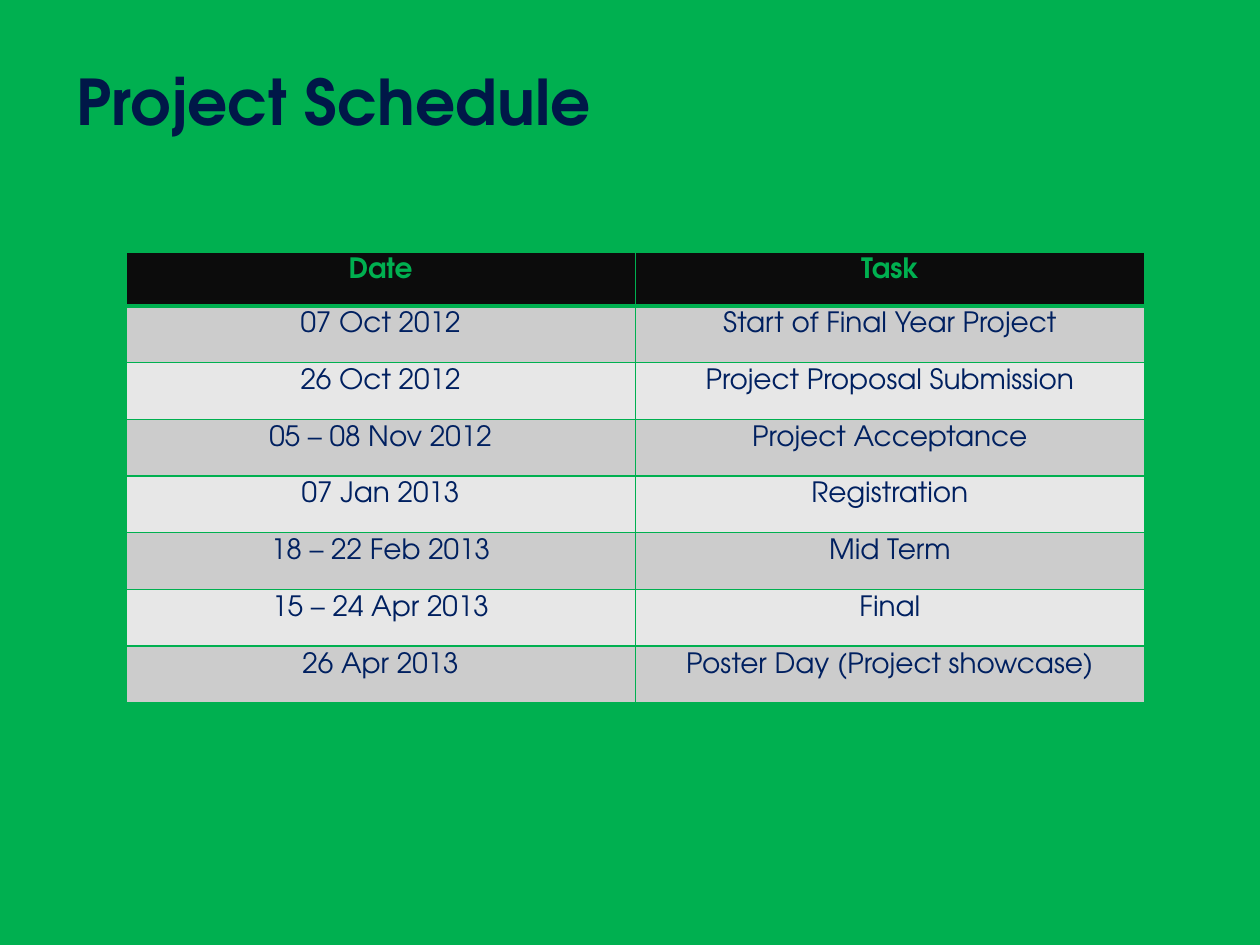
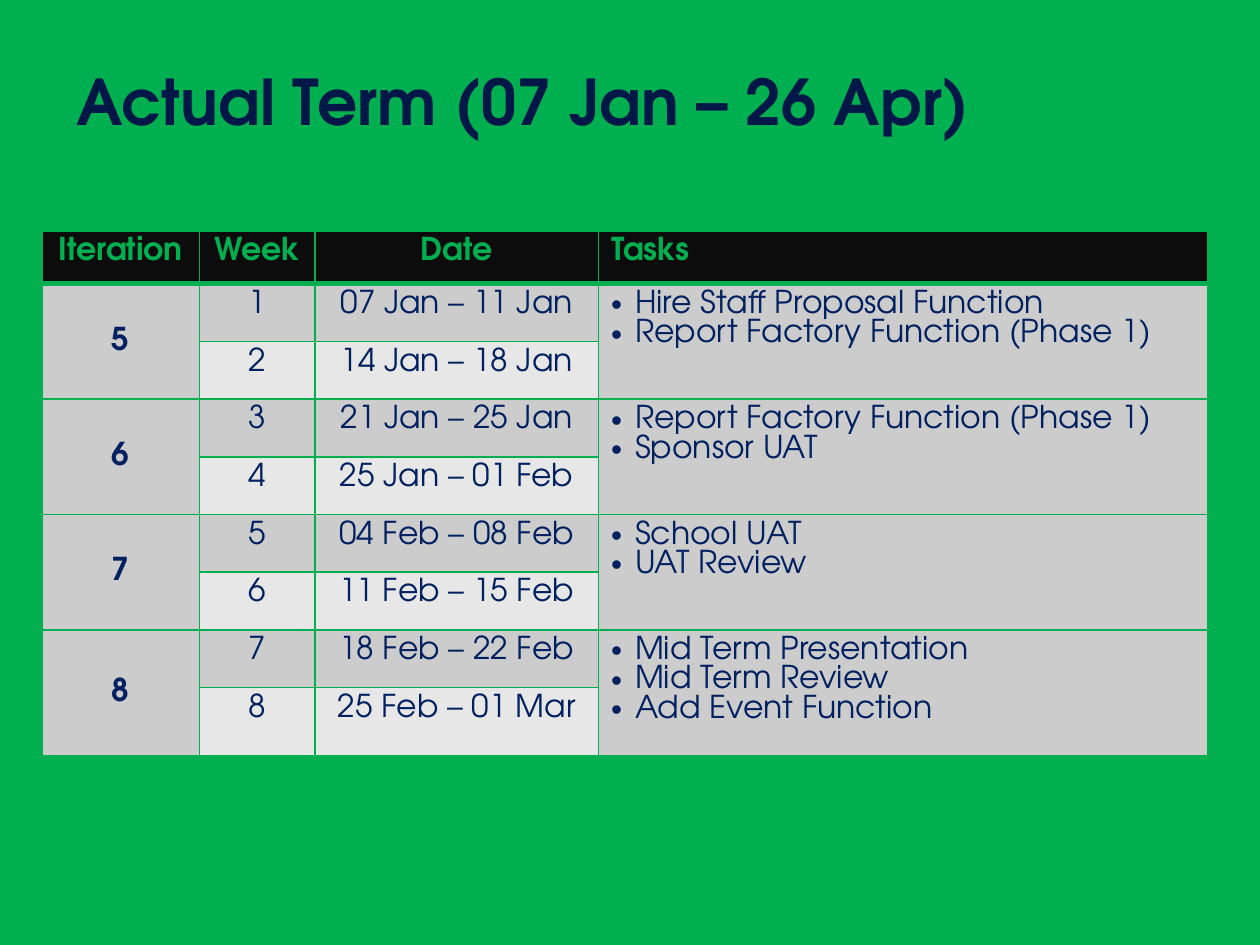
from dataclasses import dataclass

from lxml.etree import SubElement
from pptx import Presentation
from pptx.dml.color import RGBColor
from pptx.enum.text import MSO_ANCHOR as Anchor, PP_ALIGN as Align
from pptx.oxml.ns import qn
from pptx.util import Inches, Pt


@dataclass(frozen=True)
class Theme:
    font: str = "TeX Gyre Adventor"
    green: str = "00B050"
    title: str = "001848"
    header: str = "0C0C0C"
    body: str = "002060"
    bands: tuple = ("CCCCCC", "E7E7E7")
    title_size: int = 36
    border: int = 1
    header_border: int = 3


theme = Theme()

presentation = Presentation()
presentation.slide_width = Inches(10)
presentation.slide_height = Inches(7.5)
# The slide is a grid of 100 columns by 75 rows.
column = presentation.slide_width / 100
row = presentation.slide_height / 75


def style_font(paragraph, size, color, bold):
    for run in paragraph.runs:
        run.font.name = theme.font
        run.font.size = Pt(size)
        run.font.bold = bold
        run.font.color.rgb = RGBColor.from_string(color)


def draw_border(cell, side, width):
    line = SubElement(cell._tc.get_or_add_tcPr(), qn(f"a:ln{side}"), w=str(Pt(width)))
    fill = SubElement(line, qn("a:solidFill"))
    SubElement(fill, qn("a:srgbClr"), val=theme.green)


milestones = [
    ("Date", "Task"),
    ("07 Oct 2012", "Start of Final Year Project"),
    ("26 Oct 2012", "Project Proposal Submission"),
    ("05 – 08 Nov 2012", "Project Acceptance"),
    ("07 Jan 2013", "Registration"),
    ("18 – 22 Feb 2013", "Mid Term"),
    ("15 – 24 Apr 2013", "Final"),
    ("26 Apr 2013", "Poster Day (Project showcase)"),
]

iterations = [
    ("07 Jan – 11 Jan", "14 Jan – 18 Jan",
     "Hire Staff Proposal Function\nReport Factory Function (Phase 1)"),
    ("21 Jan – 25 Jan", "25 Jan – 01 Feb",
     "Report Factory Function (Phase 1)\nSponsor UAT"),
    ("04 Feb – 08 Feb", "11 Feb – 15 Feb", "School UAT\nUAT Review"),
    ("18 Feb – 22 Feb", "25 Feb – 01 Mar",
     "Mid Term Presentation\nMid Term Review\nAdd Event Function"),
]
term = [("Iteration", "Week", "Date", "Tasks")]
for index, (first_week, second_week, tasks) in enumerate(iterations):
    week = 2 * index + 1
    term.append((str(index + 5), str(week), first_week, tasks))
    term.append((None, str(week + 1), second_week, None))

# Left, top, column widths and row heights are in grid columns and rows;
# None in a table's rows continues the cell above.
slides = [
    dict(title="Project Schedule", rows=milestones, size=16, left=10, top=20,
         widths=(40.42, 40.42), header_height=4.28, row_height=4.5, task_column=None),
    dict(title="Actual Term (07 Jan – 26 Apr)", rows=term, size=18, left=3.33, top=18.35,
         widths=(12.5, 9.17, 22.5, 48.33), header_height=4.17, row_height=4.58, task_column=3),
]

for content in slides:
    slide = presentation.slides.add_slide(presentation.slide_layouts[6])
    slide.background.fill.solid()
    slide.background.fill.fore_color.rgb = RGBColor.from_string(theme.green)

    title_box = slide.shapes.add_textbox(
        int(5.1 * column), int(4.5 * row), int(90 * column), int(7 * row))
    title_frame = title_box.text_frame
    title_frame.word_wrap = True
    title_frame.vertical_anchor = Anchor.MIDDLE
    title_frame.text = content["title"]
    style_font(title_frame.paragraphs[0], theme.title_size, theme.title, True)

    rows, widths = content["rows"], content["widths"]
    heights = [content["header_height"]] + [content["row_height"]] * (len(rows) - 1)
    table = slide.shapes.add_table(
        len(rows), len(widths), int(content["left"] * column), int(content["top"] * row),
        int(sum(widths) * column), int(sum(heights) * row)).table
    for table_column, width in zip(table.columns, widths):
        table_column.width = int(width * column)
    for table_row, height in zip(table.rows, heights):
        table_row.height = int(height * row)

    for row_index, values in enumerate(rows):
        is_header = row_index == 0
        for column_index, value in enumerate(values):
            cell = table.cell(row_index, column_index)
            spans_weeks = value is None or (
                row_index + 1 < len(rows) and rows[row_index + 1][column_index] is None)
            is_task = column_index == content["task_column"]

            for side in "LRTB":
                under_header = (is_header and side == "B") or (row_index == 1 and side == "T")
                draw_border(cell, side, theme.header_border if under_header else theme.border)
            band = theme.bands[0 if spans_weeks else (row_index - 1) % 2]
            cell.fill.solid()
            cell.fill.fore_color.rgb = RGBColor.from_string(theme.header if is_header else band)
            if value is None:
                continue

            if spans_weeks:
                cell.merge(table.cell(row_index + 1, column_index))
                if not is_task:
                    cell.vertical_anchor = Anchor.MIDDLE
            cell.text_frame.text = value
            for paragraph in cell.text_frame.paragraphs:
                paragraph.alignment = Align.LEFT if is_task else Align.CENTER
                if is_task and not is_header:
                    properties = paragraph._p.get_or_add_pPr()
                    properties.set("marL", str(Inches(0.19)))
                    properties.set("indent", str(-Inches(0.19)))
                    SubElement(properties, qn("a:buFont"), typeface="Arial")
                    SubElement(properties, qn("a:buChar"), char="•")
                style_font(paragraph, content["size"],
                           theme.green if is_header else theme.body,
                           is_header or (spans_weeks and not is_task))

presentation.save("out.pptx")
